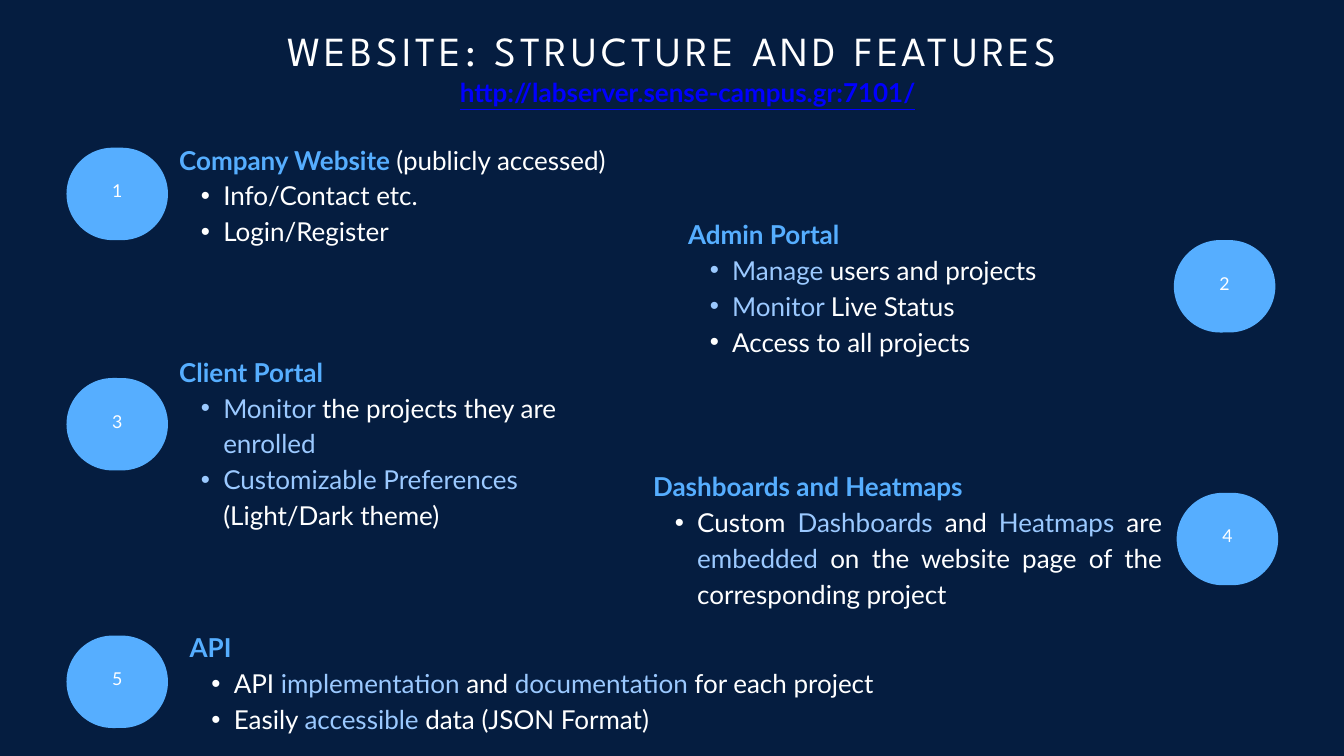
from pptx import Presentation
from pptx import util as u
from pptx.dml.color import RGBColor
from pptx.enum import shapes, text
from pptx.oxml.ns import qn
from lxml import etree

PX = 9525
COMPARISON_LAYOUT = 4
BADGE_SIZE = (145, 132)
COLOURS = {
    "navy": "051D40",
    "white": "FFFFFF",
    "blue": "56AEFF",
    "pale": "9BC9FF",
    "link": "0000FF",
}
FORMATS = {
    "title": {"name": "League Spartan", "size": u.Pt(44.3), "bold": False},
    "badge": {"name": "Lato", "size": u.Pt(19), "bold": False},
    "heading": {"name": "Lato", "size": u.Pt(27.9), "bold": True},
    "item": {"name": "Lato", "size": u.Pt(27.9), "bold": False},
    "link": {"name": "Lato", "size": u.Pt(27.9), "bold": True, "underline": True},
}
LEFT, CENTER, JUSTIFY = text.PP_ALIGN.LEFT, text.PP_ALIGN.CENTER, text.PP_ALIGN.JUSTIFY

# Words between asterisks take the pale colour.
SECTIONS = [
    {"badge": (95, 211), "box": (256, 199, 1112, 152), "align": LEFT,
     "heading": "Company Website ", "note": "(publicly accessed)",
     "items": ["Info/Contact etc.", "Login/Register"]},
    {"badge": (1677, 343), "box": (983, 305, 677, 203), "align": LEFT,
     "heading": "Admin Portal", "note": "",
     "items": ["*Manage *users and projects", "*Monitor *Live Status",
               "Access to all projects"]},
    {"badge": (95, 540), "box": (256, 502, 661, 253), "align": LEFT,
     "heading": "Client Portal", "note": "",
     "items": ["*Monitor *the projects they are *enrolled*",
               "*Customizable Preferences* (Light/Dark theme)"]},
    {"badge": (1681, 704), "box": (933, 666, 727, 203), "align": JUSTIFY,
     "heading": "Dashboards and Heatmaps", "note": "",
     "items": ["Custom *Dashboards *and *Heatmaps *are *embedded *"
               "on the website page of the corresponding project"]},
    {"badge": (95, 908), "box": (271, 896, 1112, 152), "align": LEFT,
     "heading": "API", "note": "",
     "items": ["API *implementation *and *documentation *for each project",
               "Easily *accessible *data (JSON Format)"]},
]


def px(*lengths):
    return [u.Emu(length * PX) for length in lengths]


def set_values(target, values):
    for name, value in values.items():
        setattr(target, name, value)


def prepare_frame(shape, margins=(0, 0, 0, 0), anchor=text.MSO_ANCHOR.TOP):
    frame = shape.text_frame
    names = ("margin_left", "margin_top", "margin_right", "margin_bottom")
    set_values(frame, dict(zip(names, px(*margins))))
    set_values(frame, {"word_wrap": True, "auto_size": text.MSO_AUTO_SIZE.NONE,
                       "vertical_anchor": anchor})
    return frame


def place(shape, box):
    set_values(shape, dict(zip(("left", "top", "width", "height"), px(*box))))


def format_paragraph(paragraph, spacing, align=LEFT, bullet=False):
    properties = paragraph._p.get_or_add_pPr()
    properties.set("marL", str(63 * PX if bullet else 0))
    properties.set("indent", str(-32 * PX if bullet else 0))
    if bullet:
        etree.SubElement(properties, qn("a:buFont")).set("typeface", "Arial")
        etree.SubElement(properties, qn("a:buChar")).set("char", "•")
    else:
        etree.SubElement(properties, qn("a:buNone"))
    set_values(paragraph, {"level": int(bullet), "alignment": align,
                           "line_spacing": u.Pt(spacing),
                           "space_before": u.Pt(0), "space_after": u.Pt(0)})


def add_run(paragraph, words, style, colour):
    run = paragraph.add_run()
    run.text = words
    set_values(run.font, FORMATS[style])
    run.font.color.rgb = RGBColor.from_string(COLOURS[colour])
    return run


def add_title(slide, words):
    title = slide.shapes.title
    place(title, (177, 44, 1567, 64))
    paragraph = prepare_frame(title).paragraphs[0]
    format_paragraph(paragraph, 46.9, CENTER)
    run = add_run(paragraph, words, "title", "white")
    run.font._element.set("spc", "440")


def add_link_line(slide, words):
    box = slide.shapes.add_textbox(*px(657, 103, 711, 49))
    paragraph = prepare_frame(box).paragraphs[0]
    format_paragraph(paragraph, 38.5)
    add_run(paragraph, words, "link", "link")


def add_badge(slide, number, position):
    badge = slide.shapes.add_shape(
        shapes.MSO_SHAPE.ROUNDED_RECTANGLE, *px(*position, *BADGE_SIZE))
    badge.adjustments[0] = 0.5
    badge.shadow.inherit = False
    badge.fill.solid()
    badge.fill.fore_color.rgb = RGBColor.from_string(COLOURS["blue"])
    badge.line.fill.background()
    frame = prepare_frame(badge, (6, 0, 6, 14), text.MSO_ANCHOR.MIDDLE)
    paragraph = frame.paragraphs[0]
    format_paragraph(paragraph, 26.6, CENTER)
    add_run(paragraph, str(number), "badge", "white")


def fill_section(body, section):
    place(body, section["box"])
    frame = prepare_frame(body)
    heading = frame.paragraphs[0]
    format_paragraph(heading, 38.5)
    add_run(heading, section["heading"], "heading", "blue")
    if section["note"]:
        add_run(heading, section["note"], "item", "white")
    for item in section["items"]:
        paragraph = frame.add_paragraph()
        format_paragraph(paragraph, 38.5, section["align"], bullet=True)
        for index, words in enumerate(item.split("*")):
            if words:
                add_run(paragraph, words, "item", "pale" if index % 2 else "white")


def main():
    presentation = Presentation()
    presentation.slide_width, presentation.slide_height = px(1920, 1080)
    slide = presentation.slides.add_slide(presentation.slide_layouts[COMPARISON_LAYOUT])
    slide.background.fill.solid()
    slide.background.fill.fore_color.rgb = RGBColor.from_string(COLOURS["navy"])

    add_title(slide, "WEBSITE: STRUCTURE AND FEATURES")
    bodies = list(slide.placeholders)[1:]
    bodies.append(slide.shapes.add_textbox(*px(*SECTIONS[-1]["box"])))
    for number, (body, section) in enumerate(zip(bodies, SECTIONS), 1):
        add_badge(slide, number, section["badge"])
        fill_section(body, section)
    add_link_line(slide, "http://labserver.sense-campus.gr:7101/")
    presentation.save("out.pptx")


if __name__ == "__main__":
    main()
